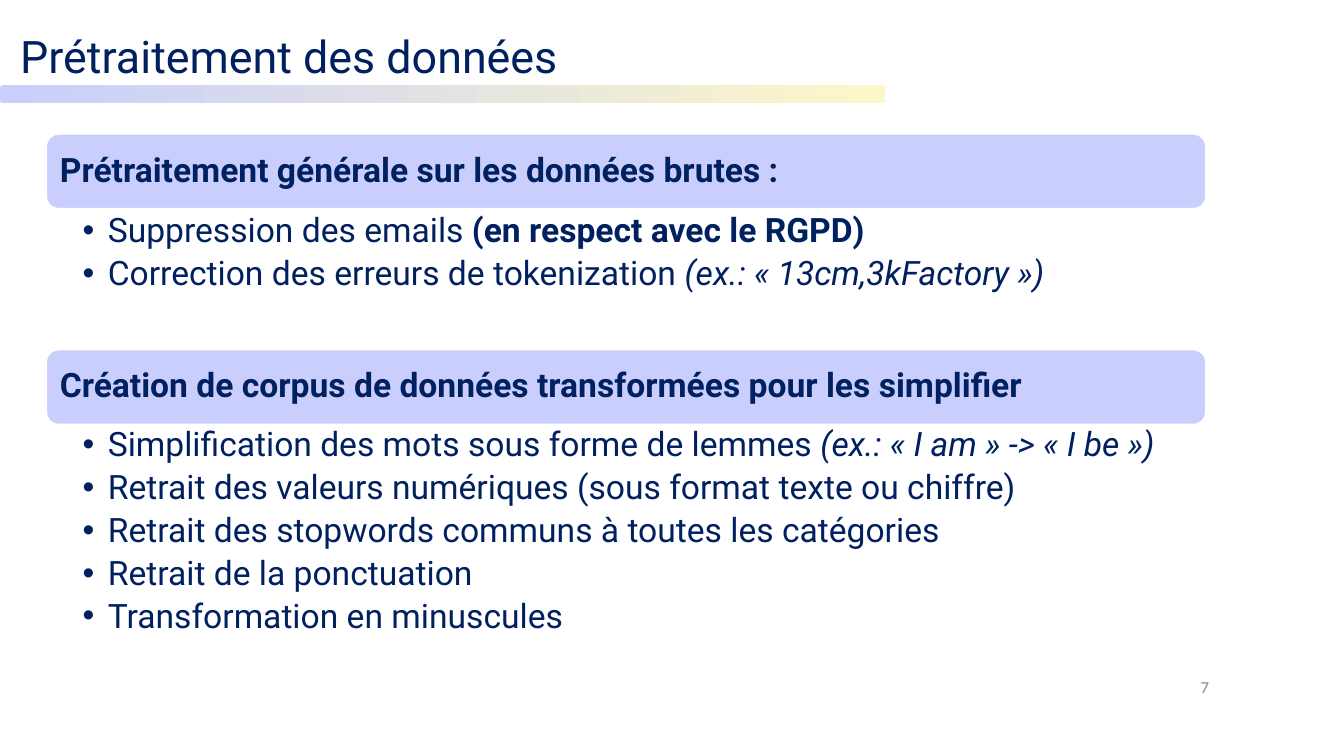
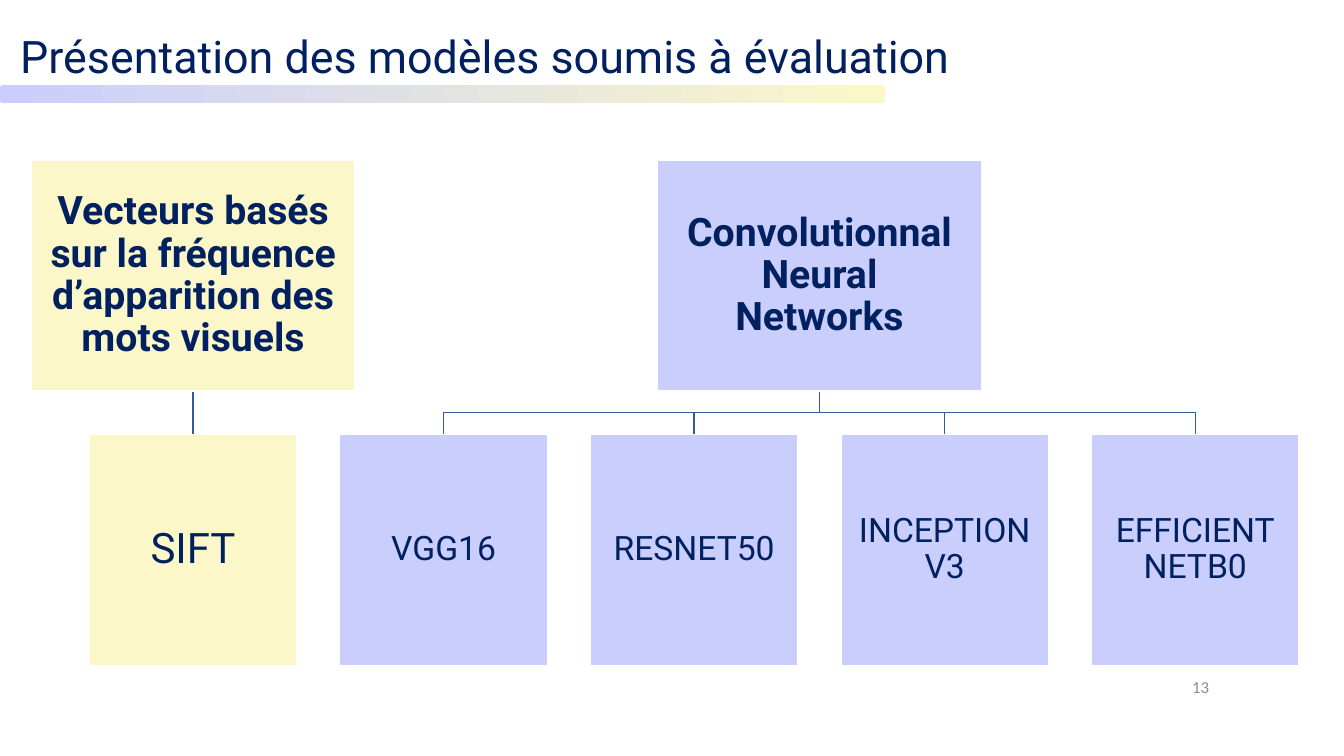
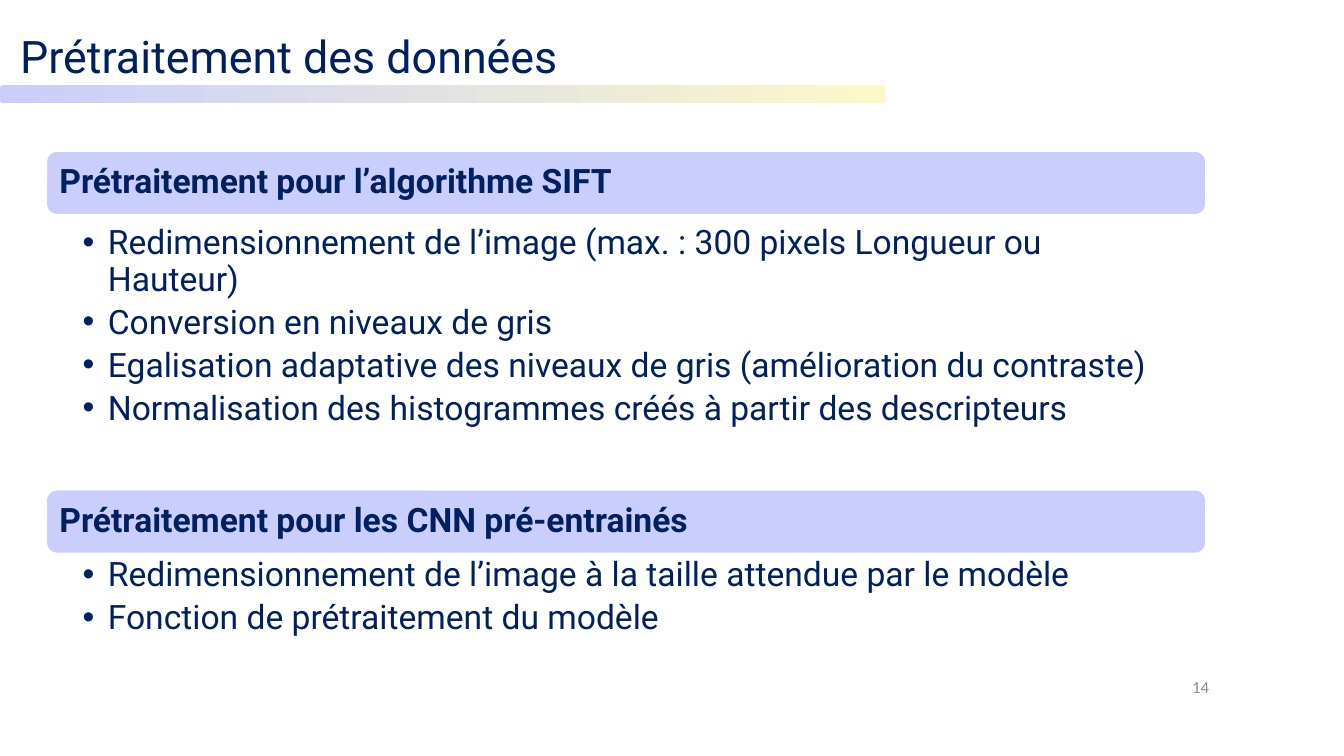
"""Build three slides on data preprocessing and the evaluated image models."""
from lxml.etree import SubElement
from pptx import Presentation
from pptx.dml.color import RGBColor
from pptx.enum.shapes import MSO_CONNECTOR, MSO_SHAPE
from pptx.enum.text import MSO_ANCHOR, MSO_AUTO_SIZE, PP_ALIGN
from pptx.oxml.ns import qn
from pptx.util import Emu, Pt

PX = 9144
COLOURS = {
    "navy": "002060",
    "lavender": "C9CEFC",
    "cream": "FCF7C9",
    "white": "FFFFFF",
    "line": "365B9D",
    "grey": "8C8C8C",
}
FONT = "Roboto"
TWO_CONTENT, TITLE_ONLY = 3, 5

SECTION_LEFT, SECTION_WIDTH = 46, 1150
LIST_INSETS = (36, 3, 25, 3)
HEADING_INSETS = (10, 10, 10, 10)
CARD_INSETS = (2, 2, 2, 2)

RAW_DATA = {
    "title": "Prétraitement des données",
    "number": "7",
    "heading_height": 74,
    "sections": [
        {
            "heading": "Prétraitement générale sur les données brutes :",
            "top": 133, "list_top": 209, "list_height": 138,
            "items": [
                [("Suppression des emails ", ""), ("(en respect avec le RGPD)", "bold")],
                [("Correction des erreurs de tokenization ", ""),
                 ("(ex.: « 13cm,3kFactory »)", "italic")],
            ],
        },
        {
            "heading": "Création de corpus de données transformées pour les simplifier",
            "top": 347, "list_top": 421, "list_height": 220,
            "items": [
                [("Simplification des mots sous forme de lemmes ", ""),
                 ("(ex.: « I am » -> « I be »)", "italic")],
                [("Retrait des valeurs numériques (sous format texte ou chiffre)", "")],
                [("Retrait des stopwords communs à toutes les catégories", "")],
                [("Retrait de la ponctuation", "")],
                [("Transformation en minuscules", "")],
            ],
        },
    ],
}
IMAGE_DATA = {
    "title": "Prétraitement des données",
    "number": "14",
    "heading_height": 63,
    "sections": [
        {
            "heading": "Prétraitement pour l’algorithme SIFT",
            "top": 150, "list_top": 221, "list_height": 265,
            "items": [
                [("Redimensionnement de l’image (max. : 300 pixels Longueur ou Hauteur)", "")],
                [("Conversion en niveaux de gris", "")],
                [("Egalisation adaptative des niveaux de gris (amélioration du contraste)", "")],
                [("Normalisation des histogrammes créés à partir des descripteurs", "")],
            ],
        },
        {
            "heading": "Prétraitement pour les CNN pré-entrainés",
            "top": 486, "list_top": 550, "list_height": 88,
            "items": [
                [("Redimensionnement de l’image à la taille attendue par le modèle", "")],
                [("Fonction de prétraitement du modèle", "")],
            ],
        },
    ],
}
MODELS = {
    "title": "Présentation des modèles soumis à évaluation",
    "number": "13",
    "families": [
        {
            "name": "Vecteurs basés sur la fréquence d’apparition des mots visuels",
            "colour": "cream", "size": 30, "models": ["SIFT"],
        },
        {
            "name": "Convolutionnal\nNeural\nNetworks",
            "colour": "lavender", "size": 24,
            "models": ["VGG16", "RESNET50", "INCEPTION V3", "EFFICIENT\nNETB0"],
        },
    ],
}
FAMILY_TOP, MODEL_TOP, CARD_HEIGHT = 159, 431, 229
FAMILY_WIDTH, MODEL_WIDTH = 321, 206
MODELS_LEFT, MODELS_RIGHT = 88.5, 1288.5


def colour(name):
    return RGBColor.from_string(COLOURS[name])


def scaled(*lengths):
    return [Emu(round(length * PX)) for length in lengths]


def place(shape, *area):
    shape.left, shape.top, shape.width, shape.height = scaled(*area)


def set_frame(frame, insets=(10, 5, 10, 5), anchor=MSO_ANCHOR.MIDDLE):
    frame.word_wrap = True
    frame.auto_size = MSO_AUTO_SIZE.NONE
    frame.vertical_anchor = anchor
    (frame.margin_left, frame.margin_top,
     frame.margin_right, frame.margin_bottom) = scaled(*insets)


def set_font(paragraph, size, name=FONT, tint="navy", bold=False):
    font = paragraph.font
    font.name, font.size, font.bold = name, Pt(size), bold
    font.color.rgb = colour(tint)


def write(frame, text, size, align=PP_ALIGN.LEFT, spacing=1.0, **font):
    paragraph = frame.paragraphs[0]
    paragraph.text = text
    paragraph.alignment = align
    paragraph.line_spacing = spacing
    set_font(paragraph, size, **font)


def add_box(page, preset, area, tint):
    box = page.shapes.add_shape(preset, *scaled(*area))
    box.shadow.inherit = False
    box.fill.solid()
    box.fill.fore_color.rgb = colour(tint)
    box.line.color.rgb = colour("white")
    box.line.width = Pt(1)
    return box


def add_branch(page, start, centre, top):
    if start == centre:
        branch = page.shapes.add_connector(
            MSO_CONNECTOR.STRAIGHT, *scaled(start, top, centre, MODEL_TOP))
        SubElement(branch._element.spPr, qn("a:effectLst"))
    else:
        bend = (top + MODEL_TOP) / 2
        builder = page.shapes.build_freeform(*scaled(start, top))
        corners = ((start, bend), (centre, bend), (centre, MODEL_TOP))
        builder.add_line_segments([scaled(*corner) for corner in corners], close=False)
        branch = builder.convert_to_shape()
        branch.fill.background()
        branch.shadow.inherit = False
    branch.line.color.rgb = colour("line")
    branch.line.width = Pt(1)


def add_page(deck, layout, content):
    page = deck.slides.add_slide(deck.slide_layouts[layout])
    title = page.shapes.title
    place(title, 10, 23, 969, 64)
    set_frame(title.text_frame, anchor=MSO_ANCHOR.TOP)
    write(title.text_frame, content["title"], 32)

    band = page.shapes.add_shape(MSO_SHAPE.ROUNDED_RECTANGLE, *scaled(0, 84.5, 878, 18))
    band.shadow.inherit = False
    band.line.fill.background()
    band.fill.gradient()
    band.fill.gradient_angle = 0
    for stop, tint in zip(band.fill.gradient_stops, ("lavender", "cream")):
        stop.color.rgb = colour(tint)

    number = page.shapes.add_textbox(*scaled(909, 661, 300, 40))
    set_frame(number.text_frame)
    write(number.text_frame, content["number"], 12, PP_ALIGN.RIGHT, name="Calibri", tint="grey")
    return page


def write_list(frame, items):
    for index, spans in enumerate(items):
        paragraph = frame.add_paragraph() if index else frame.paragraphs[0]
        paragraph.line_spacing = 0.9
        paragraph.space_before = Pt(0)
        paragraph.space_after = Pt(4.8)
        properties = paragraph._p.get_or_add_pPr()
        properties.set("marL", str(25 * PX))
        properties.set("indent", str(-25 * PX))
        SubElement(properties, qn("a:buChar"), char="•")
        set_font(paragraph, 24)
        for text, style in spans:
            span = paragraph.add_run()
            span.text = text
            if style:
                setattr(span.font, style, True)


def add_sections_page(deck, content):
    page = add_page(deck, TWO_CONTENT, content)
    for index, section in enumerate(content["sections"], start=1):
        area = (SECTION_LEFT, section["top"], SECTION_WIDTH, content["heading_height"])
        heading = add_box(page, MSO_SHAPE.ROUNDED_RECTANGLE, area, "lavender")
        set_frame(heading.text_frame, HEADING_INSETS)
        write(heading.text_frame, section["heading"], 24, spacing=0.9, bold=True)

        body = page.placeholders[index]
        place(body, SECTION_LEFT, section["list_top"], SECTION_WIDTH, section["list_height"])
        set_frame(body.text_frame, LIST_INSETS, MSO_ANCHOR.TOP)
        write_list(body.text_frame, section["items"])


def add_card(page, text, centre, top, width, tint, size, bold=False):
    area = (centre - width / 2, top, width, CARD_HEIGHT)
    card = add_box(page, MSO_SHAPE.RECTANGLE, area, tint)
    set_frame(card.text_frame, CARD_INSETS)
    write(card.text_frame, text, size, PP_ALIGN.CENTER, 0.9, bold=bold)


def add_models_page(deck, content):
    page = add_page(deck, TITLE_ONLY, content)
    families = content["families"]
    count = sum(len(family["models"]) for family in families)
    pitch = (MODELS_RIGHT - MODELS_LEFT - MODEL_WIDTH) / (count - 1)
    column = 0
    for family in families:
        centres = [MODELS_LEFT + MODEL_WIDTH / 2 + pitch * (column + step)
                   for step in range(len(family["models"]))]
        column += len(centres)
        middle = (centres[0] + centres[-1]) / 2
        for centre in centres:
            add_branch(page, middle, centre, FAMILY_TOP + CARD_HEIGHT)
        tint = family["colour"]
        add_card(page, family["name"], middle, FAMILY_TOP, FAMILY_WIDTH, tint, 28, bold=True)
        for model, centre in zip(family["models"], centres):
            add_card(page, model, centre, MODEL_TOP, MODEL_WIDTH, tint, family["size"])


def main():
    deck = Presentation()
    deck.slide_width, deck.slide_height = scaled(1333, 750)
    add_sections_page(deck, RAW_DATA)
    add_models_page(deck, MODELS)
    add_sections_page(deck, IMAGE_DATA)
    deck.save("out.pptx")


if __name__ == "__main__":
    main()
